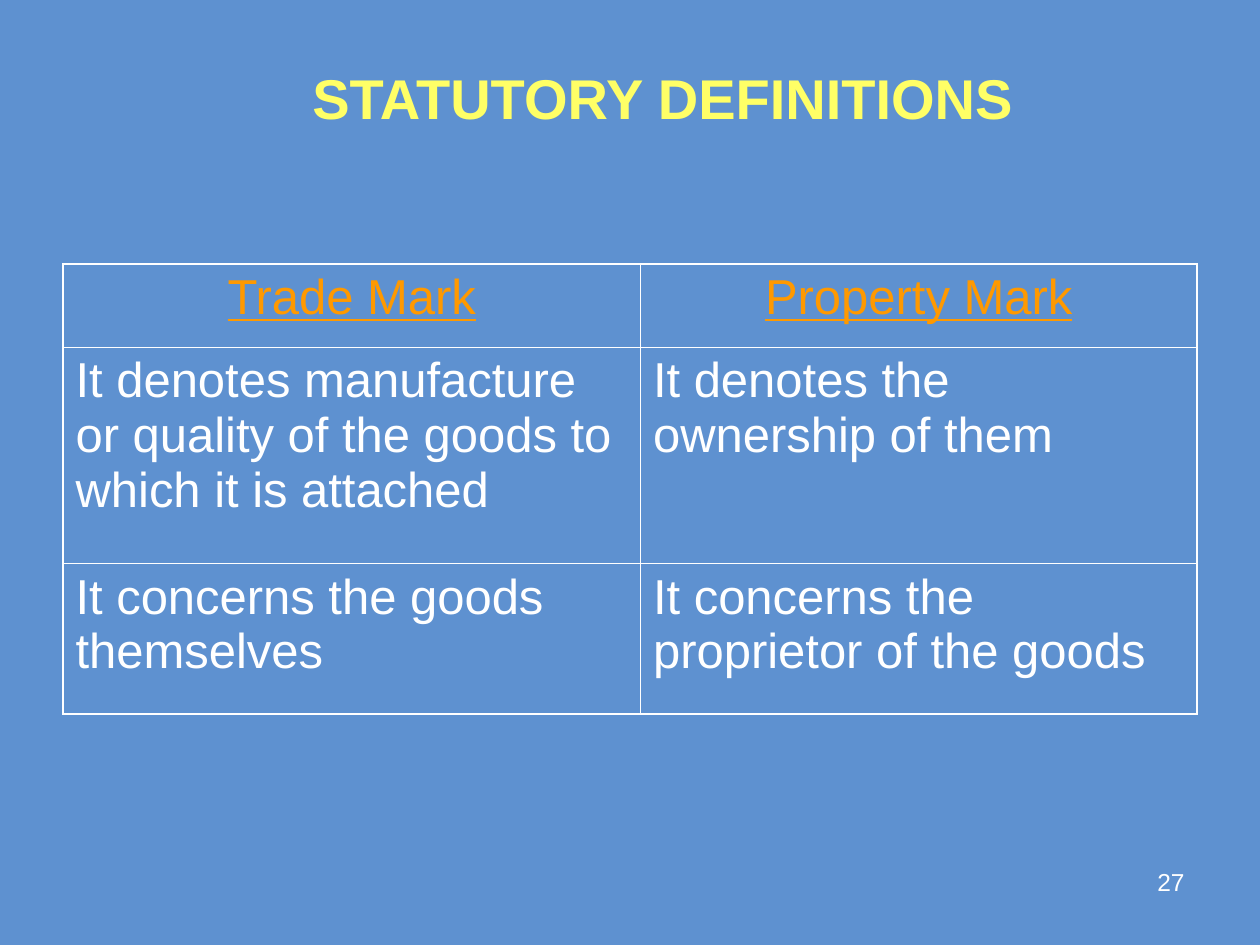
from dataclasses import dataclass

from lxml.etree import SubElement
from pptx import Presentation
from pptx.dml.color import RGBColor
from pptx.enum.text import MSO_ANCHOR, PP_ALIGN
from pptx.oxml.ns import qn
from pptx.util import Pt


@dataclass(frozen=True)
class Theme:
    font: str = "Arial"
    background: str = "5E91D0"
    title: str = "FFFF66"
    heading: str = "FF9900"
    body: str = "FFFFFF"
    title_size: float = 32
    table_size: float = 28
    number_size: float = 14
    outer_line: float = 1.08
    inner_line: float = 0.45


THEME = Theme()

MARKS = [
    ("Trade Mark", "Property Mark"),
    ("It denotes manufacture or quality of the goods to which it is attached",
     "It denotes the ownership of them"),
    ("It concerns the goods themselves",
     "It concerns the proprietor of the goods"),
]


def write(frame, text, size, color, align, bold=False, underline=False):
    paragraph = frame.paragraphs[0]
    paragraph.text = text
    paragraph.alignment = align
    font = paragraph.font
    font.name = THEME.font
    font.size = Pt(size)
    font.bold = bold
    font.underline = underline
    font.color.rgb = RGBColor.from_string(color)


def add_title(slide, left, top, width, height, text):
    frame = slide.shapes.add_textbox(Pt(left), Pt(top), Pt(width), Pt(height)).text_frame
    frame.word_wrap = True
    frame.vertical_anchor = MSO_ANCHOR.MIDDLE
    write(frame, text, THEME.title_size, THEME.title, PP_ALIGN.CENTER, bold=True)


def add_page_number(slide, left, top, width, height, number):
    frame = slide.shapes.add_textbox(Pt(left), Pt(top), Pt(width), Pt(height)).text_frame
    frame.word_wrap = True
    write(frame, number, THEME.number_size, THEME.body, PP_ALIGN.RIGHT)


def draw_borders(cell, outer_sides):
    """Give the cell heavier lines on the sides that lie on the table's edge."""
    properties = cell._tc.get_or_add_tcPr()
    for side in "LRTB":
        weight = THEME.outer_line if side in outer_sides else THEME.inner_line
        line = SubElement(properties, qn(f"a:ln{side}"), w=str(Pt(weight)))
        fill = SubElement(line, qn("a:solidFill"))
        SubElement(fill, qn("a:srgbClr"), val=THEME.body)


def add_comparison(slide, left, top, column_widths, row_heights, rows):
    table = slide.shapes.add_table(
        len(row_heights), len(column_widths), Pt(left), Pt(top),
        Pt(sum(column_widths)), Pt(sum(row_heights))).table
    table.first_row = table.horz_banding = False
    for column, width in zip(table.columns, column_widths):
        column.width = Pt(width)
    for row, height in zip(table.rows, row_heights):
        row.height = Pt(height)

    last_row, last_column = len(row_heights) - 1, len(column_widths) - 1
    for r, texts in enumerate(rows):
        is_heading = r == 0
        for c, text in enumerate(texts):
            cell = table.cell(r, c)
            edges = {"L": c == 0, "R": c == last_column, "T": r == 0, "B": r == last_row}
            draw_borders(cell, [side for side, outer in edges.items() if outer])
            cell.fill.background()
            write(cell.text_frame, text, THEME.table_size,
                  THEME.heading if is_heading else THEME.body,
                  PP_ALIGN.CENTER if is_heading else PP_ALIGN.LEFT,
                  underline=is_heading)


def main():
    deck = Presentation()
    deck.slide_width, deck.slide_height = Pt(720), Pt(540)
    slide = deck.slides.add_slide(deck.slide_layouts[6])
    background = slide.background.fill
    background.solid()
    background.fore_color.rgb = RGBColor.from_string(THEME.background)

    add_page_number(slide, 516, 492, 168, 37.5, "27")
    add_title(slide, 73.5, 21.5, 610.5, 68, "STATUTORY DEFINITIONS")
    add_comparison(slide, 36, 151, [330, 318], [47.5, 123.5, 86], MARKS)
    deck.save("out.pptx")


if __name__ == "__main__":
    main()
